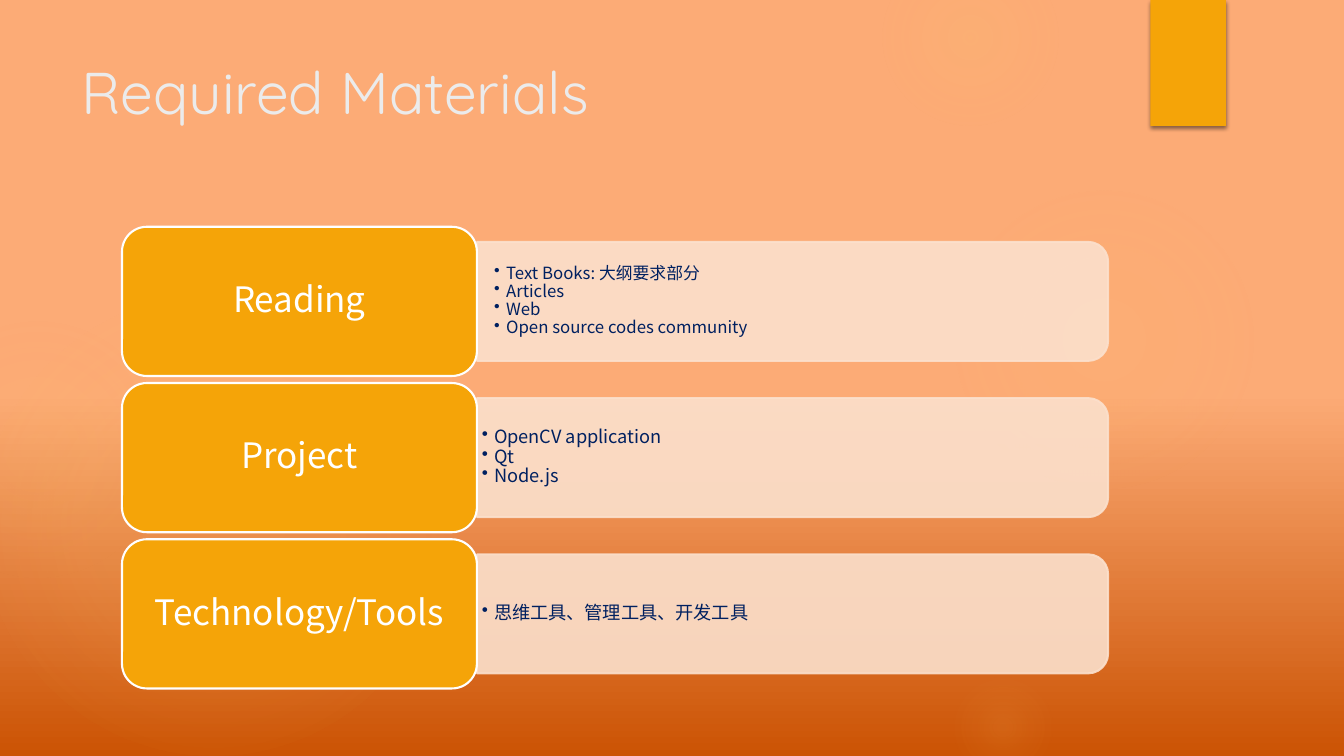
"""Build the Required Materials slide: three labelled rows on an orange backdrop."""
import pptx
import pptx.util
import pptx.dml.color
import pptx.enum.shapes
import pptx.enum.text
import pptx.oxml
import pptx.oxml.ns
import lxml.etree

Inches, Pt = pptx.util.Inches, pptx.util.Pt
RGBColor = pptx.dml.color.RGBColor
SHAPE = pptx.enum.shapes.MSO_SHAPE
ANCHOR = pptx.enum.text.MSO_ANCHOR
ALIGN = pptx.enum.text.PP_ALIGN
qn = pptx.oxml.ns.qn

AMBER = RGBColor(0xF5, 0xA4, 0x08)
CREAM = RGBColor(0xFB, 0xE0, 0xCC)
NAVY = RGBColor(0x00, 0x20, 0x60)
WHITE = RGBColor(0xFF, 0xFF, 0xFF)
PALE_GRAY = RGBColor(0xEB, 0xEB, 0xEB)
RUST = RGBColor(0xCB, 0x53, 0x04)
PEACH = RGBColor(0xFC, 0xAB, 0x76)
GLOW = RGBColor(0xFA, 0xC9, 0x6A)
CORAL = RGBColor(0xF5, 0x9B, 0x74)
BODY_FONT = "Noto Sans CJK SC"


def set_stops(element, stops):
    """Replace the gradient stops with (position, colour, opacity) in percent."""
    stop_list = element.find(".//" + qn("a:gsLst"))
    for old in list(stop_list):
        stop_list.remove(old)
    for position, color, opacity in stops:
        stop = lxml.etree.SubElement(stop_list, qn("a:gs"), pos=str(position * 1000))
        tint = lxml.etree.SubElement(stop, qn("a:srgbClr"), val=str(color))
        lxml.etree.SubElement(tint, qn("a:alpha"), val=str(opacity * 1000))


def set_east_asian_font(paragraph):
    """Use the body font for Chinese characters as well."""
    for run in paragraph.runs:
        lxml.etree.SubElement(run.font._element, qn("a:ea"), typeface=BODY_FONT)


prs = pptx.Presentation()
prs.slide_width, prs.slide_height = Inches(13.33), Inches(7.5)
slide = prs.slides.add_slide(prs.slide_layouts[5])

backdrop = slide.background.fill
backdrop.gradient()
backdrop.gradient_angle = 90
set_stops(slide.element, [(0, RUST, 100), (48, PEACH, 100), (100, PEACH, 100)])

glows = [
    (-0.17, 2.92, 4.58, [(0, GLOW, 11), (36, GLOW, 10), (75, GLOW, 0)]),
    (-0.92, 3.17, 2.58, [(0, GLOW, 8), (36, GLOW, 5), (71, CORAL, 0)]),
    (9.41, 1.83, 3.08, [(0, GLOW, 7), (36, GLOW, 6), (69, GLOW, 0)]),
    (8.75, -0.5, 1.75, [(0, GLOW, 14), (36, GLOW, 7), (73, GLOW, 0)]),
    (9.41, 6.67, 1.08, [(0, GLOW, 10), (31, GLOW, 5), (66, GLOW, 0)]),
]
for left, top, size, stops in glows:
    glow = slide.shapes.add_shape(
        SHAPE.OVAL, Inches(left), Inches(top), Inches(size), Inches(size))
    glow.shadow.inherit = False
    glow.line.fill.background()
    glow.fill.gradient()
    set_stops(glow.element, stops)
    linear = glow.element.find(".//" + qn("a:lin"))
    radial = pptx.oxml.parse_xml(
        f'<a:path {pptx.oxml.ns.nsdecls("a")} path="circle">'
        '<a:fillToRect l="50000" t="50000" r="50000" b="50000"/></a:path>')
    linear.getparent().replace(linear, radial)

tab = slide.shapes.add_shape(
    SHAPE.RECTANGLE, Inches(11.41), Inches(0), Inches(0.75), Inches(1.25))
tab.fill.solid()
tab.fill.fore_color.rgb = AMBER
tab.line.fill.background()
tab.shadow.inherit = False
tab.element.find(".//" + qn("a:effectLst")).append(pptx.oxml.parse_xml(
    f'<a:outerShdw {pptx.oxml.ns.nsdecls("a")} blurRad="{Pt(3)}" dist="{Pt(2)}" '
    'dir="5400000" rotWithShape="0"><a:srgbClr val="000000">'
    '<a:alpha val="45000"/></a:srgbClr></a:outerShdw>'))

title = slide.shapes.title
title.left, title.top = Inches(0.71), Inches(0.5)
title.width, title.height = Inches(10.29), Inches(1.53)
title.text_frame.text = "Required Materials"
title.text_frame.vertical_anchor = ANCHOR.TOP
heading = title.text_frame.paragraphs[0]
heading.alignment = ALIGN.LEFT
heading.font.name = "Quicksand"
heading.font.size = Pt(42)
heading.font.color.rgb = PALE_GRAY

materials = [
    ("Reading", 12, 0.17, 0.08,
     ["Text Books: 大纲要求部分", "Articles", "Web", "Open source codes community"]),
    ("Project", 13, 0.05, 0.03, ["OpenCV application", "Qt", "Node.js"]),
    ("Technology/Tools", 13, 0.05, 0.03, ["思维工具、管理工具、开发工具"]),
]
for row, (label, size, side_inset, end_inset, items) in enumerate(materials):
    row_top = 2.25 + 1.55 * row

    panel = slide.shapes.add_shape(
        SHAPE.ROUND_2_SAME_RECTANGLE,
        Inches(7.27), Inches(row_top - 2.39), Inches(1.18), Inches(6.26))
    panel.rotation = 90
    panel.shadow.inherit = False
    panel.fill.solid()
    panel.fill.fore_color.rgb = CREAM
    panel.line.color.rgb = CREAM
    panel.line.width = Pt(1.5)
    for tint in panel.element.spPr.iter(qn("a:srgbClr")):
        lxml.etree.SubElement(tint, qn("a:alpha"), val="90000")

    details = slide.shapes.add_textbox(
        Inches(4.73), Inches(row_top + 0.2), Inches(6.2), Inches(1.07)).text_frame
    details.word_wrap = True
    details.vertical_anchor = ANCHOR.MIDDLE
    details.margin_left = details.margin_right = Inches(side_inset)
    details.margin_top = details.margin_bottom = Inches(end_inset)
    details.text = "\n".join(items)
    for item in details.paragraphs:
        item.level = 1
        item.line_spacing = 0.9
        item.font.name = BODY_FONT
        item.font.size = Pt(size)
        item.font.color.rgb = NAVY
        set_east_asian_font(item)
        properties = item._p.get_or_add_pPr()
        properties.set("marL", str(Inches(0.12)))
        properties.set("indent", str(Inches(-0.12)))
        bullet = pptx.oxml.parse_xml(
            f'<a:buChar {pptx.oxml.ns.nsdecls("a")} char="•"/>')
        properties.find(qn("a:defRPr")).addprevious(bullet)

    category = slide.shapes.add_shape(
        SHAPE.ROUNDED_RECTANGLE,
        Inches(1.21), Inches(row_top), Inches(3.52), Inches(1.48))
    category.shadow.inherit = False
    category.fill.solid()
    category.fill.fore_color.rgb = AMBER
    category.line.color.rgb = WHITE
    category.line.width = Pt(1.5)
    category.text_frame.text = label
    category.text_frame.vertical_anchor = ANCHOR.MIDDLE
    caption = category.text_frame.paragraphs[0]
    caption.alignment = ALIGN.CENTER
    caption.line_spacing = 0.9
    caption.font.name = BODY_FONT
    caption.font.size = Pt(25)
    caption.font.color.rgb = WHITE

prs.save("out.pptx")
